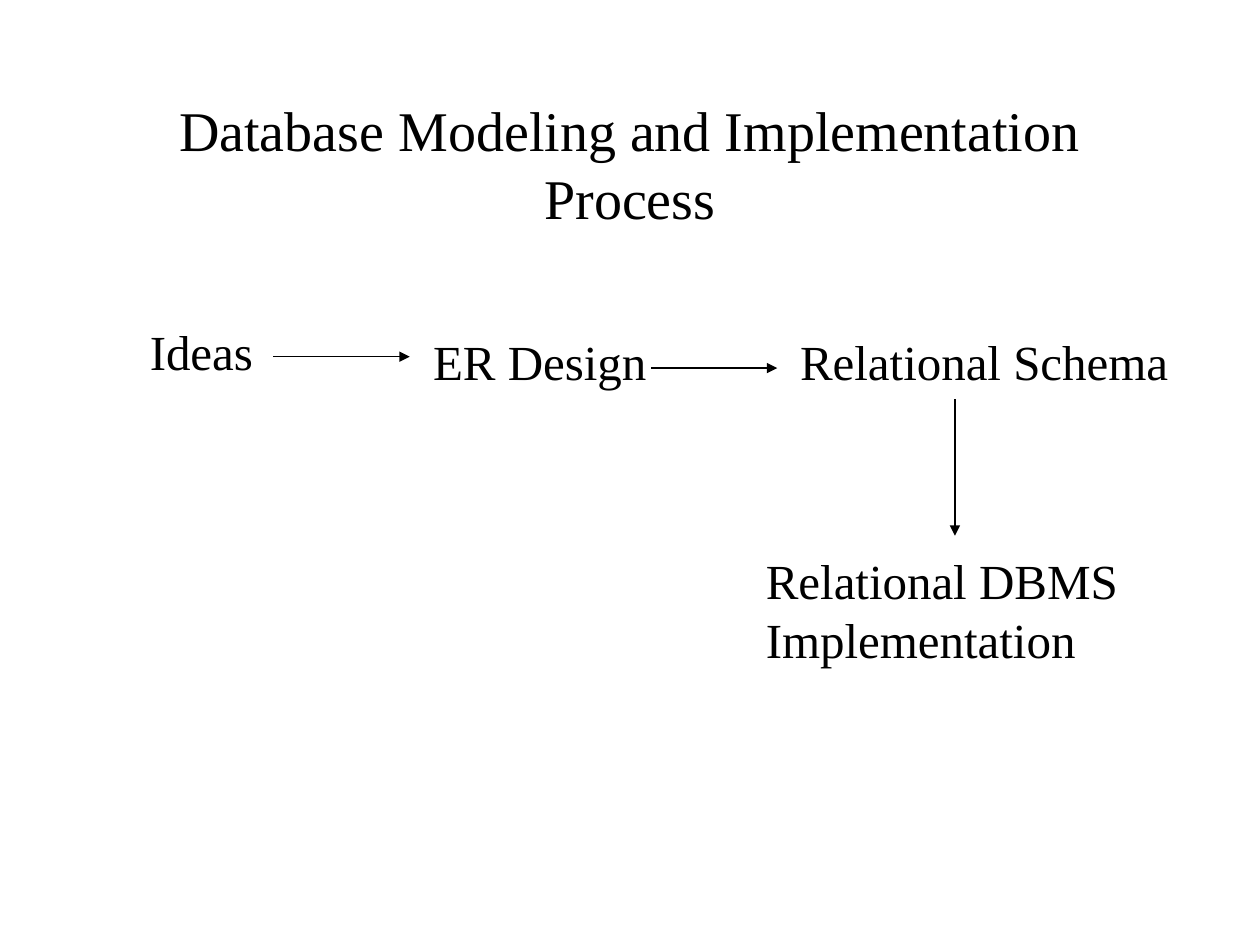
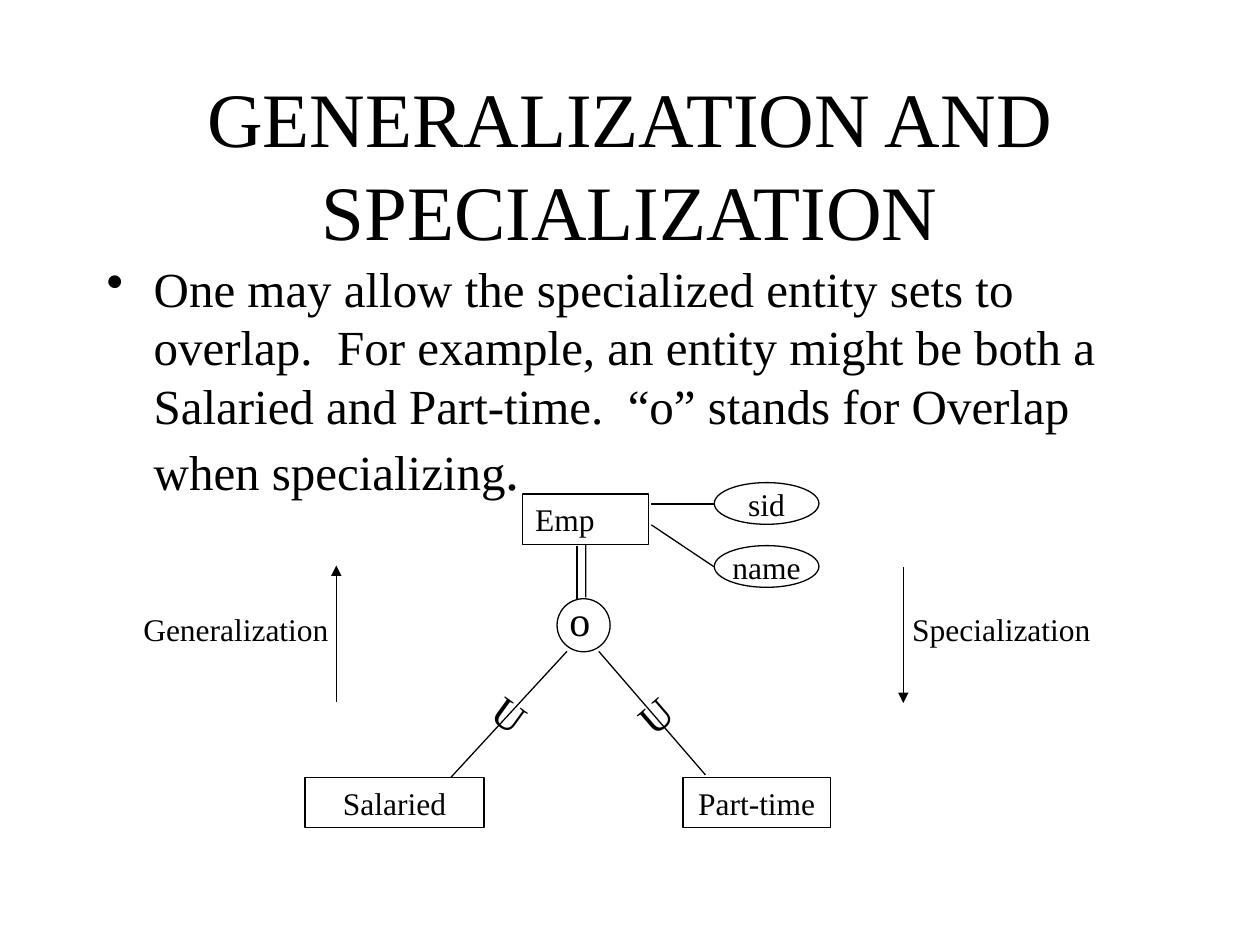
from lxml import etree
from pptx import Presentation
from pptx.dml.color import RGBColor
from pptx.enum.shapes import MSO_CONNECTOR, MSO_SHAPE
from pptx.enum.text import MSO_ANCHOR, MSO_AUTO_SIZE, PP_ALIGN
from pptx.oxml.ns import qn
from pptx.util import Cm, Pt

STRAIGHT = MSO_CONNECTOR.STRAIGHT
RECTANGLE, OVAL = MSO_SHAPE.RECTANGLE, MSO_SHAPE.OVAL
LEFT, CENTER = PP_ALIGN.LEFT, PP_ALIGN.CENTER
MIDDLE = MSO_ANCHOR.MIDDLE
FIXED = MSO_AUTO_SIZE.NONE
BOTTOM_SIDE = 2

COLORS = {"ink": "000000", "paper": "FFFFFF"}
INK = RGBColor.from_string(COLORS["ink"])
FONT = "Times New Roman"
TITLE_PLACE = [Cm(value) for value in (1.9, 1.7, 21.6, 3.18)]


def add_span(para, text, size):
    span = para.add_run()
    span.text = text
    span.font.name = FONT
    span.font.size = Pt(size)
    span.font.color.rgb = INK


def draw_line(page, start, end, arrow=False):
    line = page.shapes.add_connector(STRAIGHT, *[Cm(value) for value in start + end])
    line.line.color.rgb = INK
    line.line.width = Pt(0.75)
    properties = line.line._get_or_add_ln()
    if arrow:
        etree.SubElement(properties, qn("a:tailEnd"), type="triangle")
    etree.SubElement(properties.getparent(), qn("a:effectLst"))
    return line


deck = Presentation()
deck.slide_width, deck.slide_height = Cm(25.4), Cm(19.05)

# Pages and titles
pages = []
for heading, size in [
    ("Database Modeling and Implementation Process", 32),
    ("GENERALIZATION AND SPECIALIZATION", 44),
]:
    page = deck.slides.add_slide(deck.slide_layouts[5])
    page.background.fill.solid()
    page.background.fill.fore_color.rgb = RGBColor.from_string(COLORS["paper"])
    title = page.shapes.title
    title.left, title.top, title.width, title.height = TITLE_PLACE
    frame = title.text_frame
    frame.auto_size = FIXED
    frame.vertical_anchor = MIDDLE
    para = frame.paragraphs[0]
    para.alignment = CENTER
    add_span(para, heading, size)
    pages.append(page)
process_page, hierarchy_page = pages

# Process arrows
for start, end in [
    ((5.51, 7.19), (8.26, 7.19)),
    ((13.13, 7.42), (15.67, 7.42)),
    ((19.25, 8.05), (19.25, 10.8)),
]:
    draw_line(process_page, start, end, arrow=True)

# Overlap rule
body = hierarchy_page.shapes.add_textbox(Cm(1.9), Cm(5.08), Cm(21.6), Cm(11.43))
body.text_frame.word_wrap = True
para = body.text_frame.paragraphs[0]
settings = para._p.get_or_add_pPr()
settings.set("marL", str(Cm(0.95)))
settings.set("indent", str(-Cm(0.95)))
etree.SubElement(settings, qn("a:buChar"), char="•")
add_span(
    para,
    "One may allow the specialized entity sets to overlap.  For example, "
    "an entity might be both a Salaried and Part-time.  "
    "“o” stands for Overlap when specializing",
    28,
)
add_span(para, ".", 32)

# Entities, attributes and the overlap circle
nodes = {}
for name, kind, left, top, width, height, align in [
    ("sid", OVAL, 14.4, 9.73, 2.11, 0.84, CENTER),
    ("name", OVAL, 14.4, 11, 2.11, 0.84, CENTER),
    ("Emp", RECTANGLE, 10.54, 9.96, 2.54, 1.02, LEFT),
    ("Salaried", RECTANGLE, 6.15, 15.67, 3.61, 1.02, CENTER),
    ("Part-time", RECTANGLE, 13.77, 15.67, 2.97, 1.02, CENTER),
    ("", OVAL, 11.23, 12.07, 1.07, 1.07, CENTER),
]:
    node = hierarchy_page.shapes.add_shape(kind, Cm(left), Cm(top), Cm(width), Cm(height))
    node.shadow.inherit = False
    node.fill.background()
    node.line.color.rgb = INK
    node.line.width = Pt(0.75)
    nodes[name] = node
    if name:
        frame = node.text_frame
        frame.word_wrap = kind == RECTANGLE
        frame.vertical_anchor = MIDDLE
        para = frame.paragraphs[0]
        para.alignment = align
        add_span(para, name, 18)

# Hierarchy links and direction arrows
for start, end, arrow in [
    ((11.43, 13.13), (9.09, 15.67), False),
    ((12.07, 13.13), (14.22, 15.62), False),
    ((13.13, 10.16), (14.4, 10.16), False),
    ((13.13, 10.58), (14.4, 11.43), False),
    ((11.63, 11), (11.63, 12.07), False),
    ((18.21, 11.43), (18.21, 14.17), True),
    ((6.78, 14.15), (6.78, 11.4), True),
]:
    draw_line(hierarchy_page, start, end, arrow)
emp_link = draw_line(hierarchy_page, (11.81, 10.98), (11.81, 12.04))
emp_link.begin_connect(nodes["Emp"], BOTTOM_SIDE)

# Free-standing labels
for page, lines, size, left, top, width, height, rotation in [
    (process_page, ["Ideas"], 28, 2.77, 6.35, 3.58, 1.45, 0),
    (process_page, ["ER Design"], 28, 8.48, 6.55, 5.3, 1.45, 0),
    (process_page, ["Relational Schema"], 28, 15.88, 6.55, 8.2, 1.45, 0),
    (process_page, ["Relational DBMS", "Implementation"], 28, 15.19, 10.97, 7.9, 2.64, 0),
    (hierarchy_page, ["Specialization"], 18, 18.14, 12.17, 4.45, 1.02, 0),
    (hierarchy_page, ["Generalization"], 18, 2.64, 12.17, 4.45, 1.02, 0),
    (hierarchy_page, ["o"], 24, 11.23, 11.86, 0.91, 1.27, 0),
    (hierarchy_page, ["U"], 24, 9.73, 13.77, 1.12, 1.27, 36),
    (hierarchy_page, ["U"], 24, 12.65, 13.77, 1.12, 1.27, 319.1),
]:
    box = page.shapes.add_textbox(Cm(left), Cm(top), Cm(width), Cm(height))
    box.rotation = rotation
    frame = box.text_frame
    frame.word_wrap = True
    for index, text in enumerate(lines):
        para = frame.add_paragraph() if index else frame.paragraphs[0]
        add_span(para, text, size)

deck.save("out.pptx")
